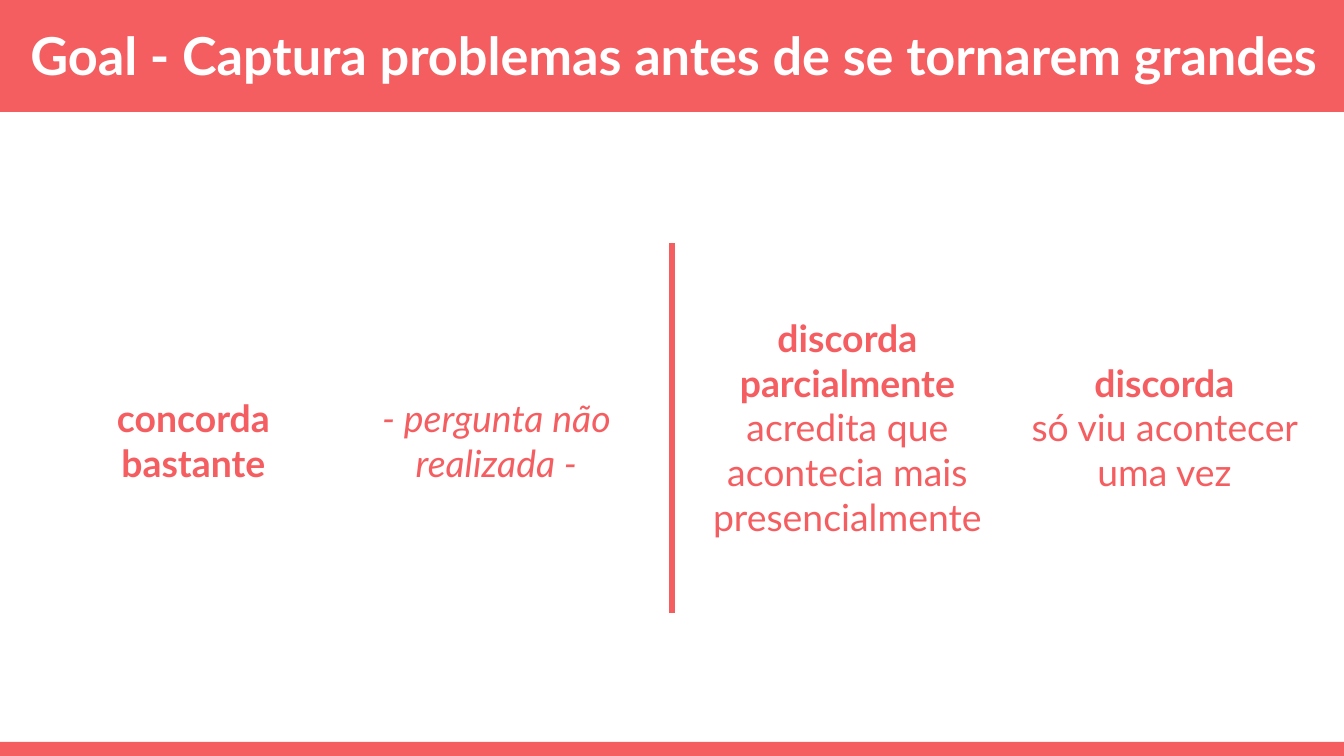
from pptx import Presentation
from pptx.dml.color import RGBColor
from pptx.enum.shapes import MSO_CONNECTOR, MSO_SHAPE
from pptx.enum.text import MSO_ANCHOR, MSO_AUTO_SIZE, PP_ALIGN
from pptx.oxml.ns import qn
from pptx.util import Emu, Pt
from lxml import etree

RECTANGLE = MSO_SHAPE.RECTANGLE
STRAIGHT = MSO_CONNECTOR.STRAIGHT
MIDDLE = MSO_ANCHOR.MIDDLE
NO_FIT = MSO_AUTO_SIZE.NONE
CENTER = PP_ALIGN.CENTER

EMU_PER_PX = 914400 / 134.4
CORAL, WHITE = "F55E61", "FFFFFF"


def px(*lengths):
    return [Emu(round(length * EMU_PER_PX)) for length in lengths]


def write(box, paragraphs, size, color):
    frame = box.text_frame
    margins = dict.fromkeys(
        ["margin_left", "margin_top", "margin_right", "margin_bottom"], Pt(7.2))
    settings = {"word_wrap": True, "auto_size": NO_FIT,
                "vertical_anchor": MIDDLE, **margins}
    for name, value in settings.items():
        setattr(frame, name, value)
    for index, (text, style) in enumerate(paragraphs):
        para = frame.add_paragraph() if index else frame.paragraphs[0]
        para.alignment = CENTER
        span = para.add_run()
        span.text = text
        span.font.color.rgb = RGBColor.from_string(color)
        for name, value in {"name": "Lato", "size": Pt(size), **style}.items():
            setattr(span.font, name, value)


deck = Presentation()
deck.slide_width, deck.slide_height = px(1344, 756)
page = deck.slides.add_slide(deck.slide_layouts[5])

# Footer strip and header band
for top, height in [(742, 14), (-4, 116)]:
    band = page.shapes.add_shape(RECTANGLE, *px(0, top, 1344, height))
    band.shadow.inherit = False
    band.fill.solid()
    band.fill.fore_color.rgb = RGBColor.from_string(CORAL)
    band.line.fill.background()

# Title, stacked in front of the header band
title = page.shapes.title
title.left, title.top, title.width, title.height = px(3, -1, 1341, 112)
BOLD, PLAIN, ITALIC = {"bold": True}, {"bold": False}, {"italic": True}
write(title, [("Goal - Captura problemas antes de se tornarem grandes", BOLD)],
      28, WHITE)
band.element.addnext(title.element)

# Divider between agreement and disagreement
divider = page.shapes.add_connector(STRAIGHT, *px(672, 613, 672, 243))
divider.line.color.rgb = RGBColor.from_string(CORAL)
divider.line.width = Pt(3)
etree.SubElement(divider.element.spPr, qn("a:effectLst"))

# Answers
answers = [
    (684, 263, [("discorda parcialmente", BOLD),
                ("acredita que acontecia mais presencialmente", PLAIN)]),
    (1001, 263, [("discorda", BOLD), ("só viu acontecer uma vez", PLAIN)]),
    (30, 276, [("concorda bastante", BOLD)]),
    (333, 276, [("- pergunta não realizada -", ITALIC)]),
]
for left, top, paragraphs in answers:
    answer = page.shapes.add_textbox(*px(left, top, 327, 328))
    write(answer, paragraphs, 20, CORAL)

deck.save("out.pptx")
